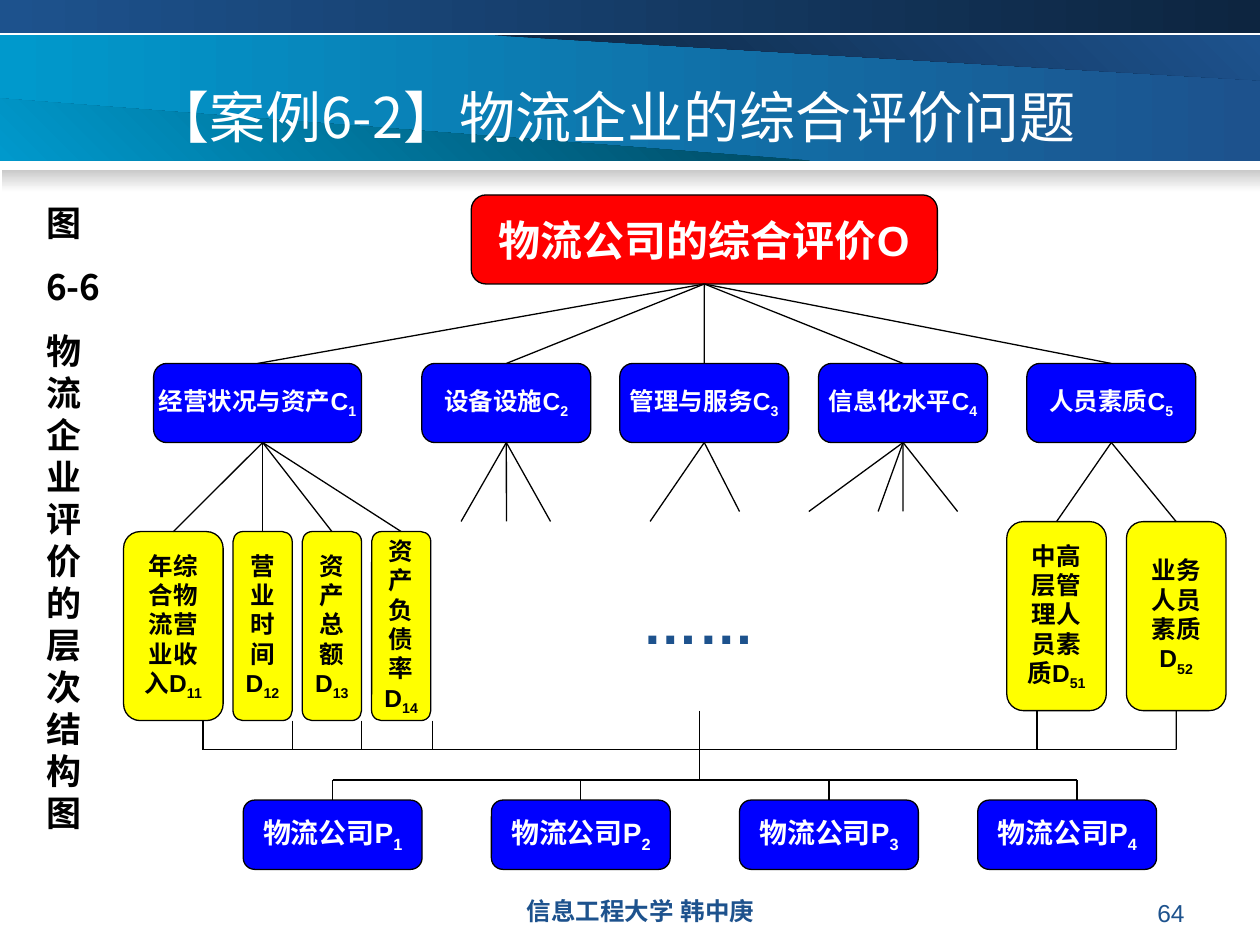
from lxml import etree
from pptx import Presentation
from pptx.dml.color import RGBColor
from pptx.enum.shapes import MSO_CONNECTOR, MSO_SHAPE
from pptx.enum.text import MSO_ANCHOR as Anchor, PP_ALIGN as Align
from pptx.oxml.ns import qn
from pptx.util import Pt

WHITE = RGBColor(0xFF, 0xFF, 0xFF)
BLACK = RGBColor(0, 0, 0)
RED = RGBColor(0xFF, 0, 0)
BLUE = RGBColor(0, 0, 0xFF)
YELLOW = RGBColor(0xFF, 0xFF, 0)
NAVY = RGBColor(0x0D, 0x25, 0x40)
ROYAL = RGBColor(0x1D, 0x52, 0x8D)
CYAN = RGBColor(0, 0x99, 0xCC)
TEAL = RGBColor(0, 0x46, 0x5E)
GREY = RGBColor(0xCA, 0xCA, 0xCA)
NEAR_WHITE = RGBColor(0xFE, 0xFE, 0xFE)
CJK_FONT = "Noto Sans CJK SC"
TOP, BOTTOM = 0, 2


def write_text(shape, text, size, color, font="Arial", bold=True, align=Align.CENTER,
               anchor=Anchor.MIDDLE, wrap=False, space_before=0):
    """Write one paragraph per line; an underscore starts a subscript."""
    frame = shape.text_frame
    frame.word_wrap = wrap
    frame.vertical_anchor = anchor
    for index, line in enumerate(text.split("\n")):
        paragraph = frame.add_paragraph() if index else frame.paragraphs[0]
        paragraph.alignment = align
        if index and space_before:
            paragraph.space_before = Pt(space_before)
        for level, part in enumerate(line.split("_")):
            run = paragraph.add_run()
            run.text = part
            run.font.size = Pt(size)
            run.font.bold = bold
            run.font.color.rgb = color
            run.font.name = font
            properties = run.font._element
            etree.SubElement(properties, qn("a:ea")).set("typeface", font)
            if level:
                properties.set("baseline", "-25000")


def add_text(slide, box, text, size, color, **text_format):
    shape = slide.shapes.add_textbox(*map(Pt, box))
    write_text(shape, text, size, color, **text_format)


def paint_gradient(shape, first, last, angle):
    shape.shadow.inherit = False
    shape.line.fill.background()
    shape.fill.gradient()
    shape.fill.gradient_angle = angle
    for stop, color in zip(shape.fill.gradient_stops, (first, last)):
        stop.color.rgb = color


def add_band(slide, box, first, last, angle):
    shape = slide.shapes.add_shape(MSO_SHAPE.RECTANGLE, *map(Pt, box))
    paint_gradient(shape, first, last, angle)


def add_wedge(slide, points, first, last, angle):
    corners = [(Pt(x), Pt(y)) for x, y in points]
    builder = slide.shapes.build_freeform(*corners[0])
    builder.add_line_segments(corners[1:], close=True)
    paint_gradient(builder.convert_to_shape(), first, last, angle)


def add_node(slide, box, text, size, fill, color=WHITE):
    shape = slide.shapes.add_shape(MSO_SHAPE.FLOWCHART_ALTERNATE_PROCESS, *map(Pt, box))
    shape.shadow.inherit = False
    shape.fill.solid()
    shape.fill.fore_color.rgb = fill
    shape.line.color.rgb = BLACK
    shape.line.width = Pt(0.75)
    write_text(shape, text, size, color)
    return shape


def add_link(slide, begin, end):
    """Draw a line; each end is a point or a node (leaving at its bottom, arriving at its top)."""
    begin_point = begin if isinstance(begin, tuple) else (0, 0)
    end_point = end if isinstance(end, tuple) else (0, 0)
    link = slide.shapes.add_connector(MSO_CONNECTOR.STRAIGHT, *map(Pt, begin_point + end_point))
    if begin is not begin_point:
        link.begin_connect(begin, BOTTOM)
    if end is not end_point:
        link.end_connect(end, TOP)
    link.line.color.rgb = BLACK
    link.line.width = Pt(0.75)
    etree.SubElement(link._element.spPr, qn("a:effectLst"))


def add_fan(slide, begin, ends):
    for end in ends:
        add_link(slide, begin, end)


def add_header(slide):
    add_band(slide, (0, 20.2, 720, 72), ROYAL, CYAN, 180)
    add_wedge(slide, [(707, 20.2), (283, 20.2), (720, 46), (720, 20.2)], NAVY, ROYAL, 45)
    add_wedge(slide, [(13.7, 91.8), (463, 91.8), (0, 56.2), (0, 91.8)], TEAL, CYAN, 225)
    add_band(slide, (0, 0, 720, 18.8), NAVY, ROYAL, 180)
    add_band(slide, (0.9, 97.2, 719.1, 12.2), GREY, NEAR_WHITE, 270)
    add_text(slide, (80.6, 43.2, 557.3, 46), "【案例6-2】物流企业的综合评价问题", 32, WHITE,
             font=CJK_FONT, bold=False, align=Align.LEFT)


def add_criteria(slide):
    """Goal, its five criteria and the lines to the criteria left open."""
    goal = add_node(slide, (269.3, 111.4, 266.4, 50.9), "物流公司的综合评价O", 24, RED)
    columns = [(87.8, 118.8, "经营状况与资产"), (241.1, 96.5, "设备设施"),
               (354.2, 96.5, "管理与服务"), (467.8, 96.5, "信息化水平"),
               (586.8, 96.5, "人员素质")]
    criteria = [add_node(slide, (left, 207.7, width, 45.2), f"{name}C_{number}", 14, BLUE)
                for number, (left, width, name) in enumerate(columns, 1)]
    add_fan(slide, goal, criteria)
    add_fan(slide, criteria[1], [(263.5, 298), (289.4, 298), (314.6, 298)])
    add_fan(slide, criteria[2], [(371.5, 298), (422.6, 292.3)])
    add_fan(slide, criteria[3], [(x, 292.3) for x in (462.2, 501.8, 516, 547.2)])
    return criteria


def add_indicators(slide, criteria):
    """Indicators of the first and last criteria, gathered on one line below."""
    first = [add_node(slide, (left, 303.8, width, 108), text, 14, YELLOW, BLACK)
             for left, width, text in [
                 (70.6, 56.9, "年综\n合物\n流营\n业收\n入D_11"),
                 (133.2, 33.8, "营\n业\n时\n间\nD_12"),
                 (172.8, 33.8, "资\n产\n总\n额\nD_13"),
                 (212.4, 33.8, "资\n产\n负\n债\n率\nD_14")]]
    last = [add_node(slide, (left, 298.1, 56.9, 108), text, 14, YELLOW, BLACK)
            for left, text in [(575.3, "中高\n层管\n理人\n员素\n质D_51"),
                               (643.7, "业务\n人员\n素质\nD_52")]]
    add_fan(slide, (150.1, 252.9), first)
    add_fan(slide, criteria[-1], last)
    add_text(slide, (360, 332.6, 90.7, 46), "……", 32, ROYAL, align=Align.JUSTIFY,
             anchor=Anchor.TOP, wrap=True)

    gather_y = 428.4
    add_link(slide, (116, gather_y), (672.1, gather_y))
    for x in (116, 167, 206.6, 247):
        add_link(slide, (x, 411.8), (x, gather_y))
    add_link(slide, (592.6, 406.1), (592.6, gather_y))
    add_link(slide, last[1], (672.1, gather_y))


def add_companies(slide):
    """The four companies under a shared line."""
    split_y = 445.7
    companies = [add_node(slide, (left, 457.2, 102.2, 39.6), f"物流公司P_{number}", 16, BLUE)
                 for number, left in enumerate((139, 280.8, 422.6, 558.7), 1)]
    drops = [190.1 + 141.8 * column for column in range(4)]
    add_link(slide, (399.6, 406.1), (399.6, split_y))
    add_link(slide, (drops[0], split_y), (drops[-1], split_y))
    for x, company in zip(drops[:-1], companies):
        add_link(slide, (x, split_y), company)
    add_link(slide, (drops[-1], split_y), (drops[-1], 457.2))


def main():
    presentation = Presentation()
    presentation.slide_width, presentation.slide_height = Pt(720), Pt(540)
    slide = presentation.slides.add_slide(presentation.slide_layouts[6])

    # Title and figure caption
    add_header(slide)
    add_text(slide, (19.4, 111.6, 51.1, 368.6), "图\n6-6\n物流企业评价的层次结构图", 20, BLACK,
             font=CJK_FONT, align=Align.JUSTIFY, anchor=Anchor.TOP, wrap=True,
             space_before=12.5)

    # Hierarchy
    criteria = add_criteria(slide)
    add_indicators(slide, criteria)
    add_companies(slide)

    # Footer
    add_text(slide, (252, 508.3, 228.2, 19.4), "信息工程大学 韩中庚", 14, ROYAL,
             anchor=Anchor.TOP, wrap=True)
    add_text(slide, (516.2, 509.8, 167.8, 19.4), "64", 14, ROYAL, bold=False,
             align=Align.RIGHT, anchor=Anchor.TOP, wrap=True)

    presentation.save("out.pptx")


if __name__ == "__main__":
    main()
